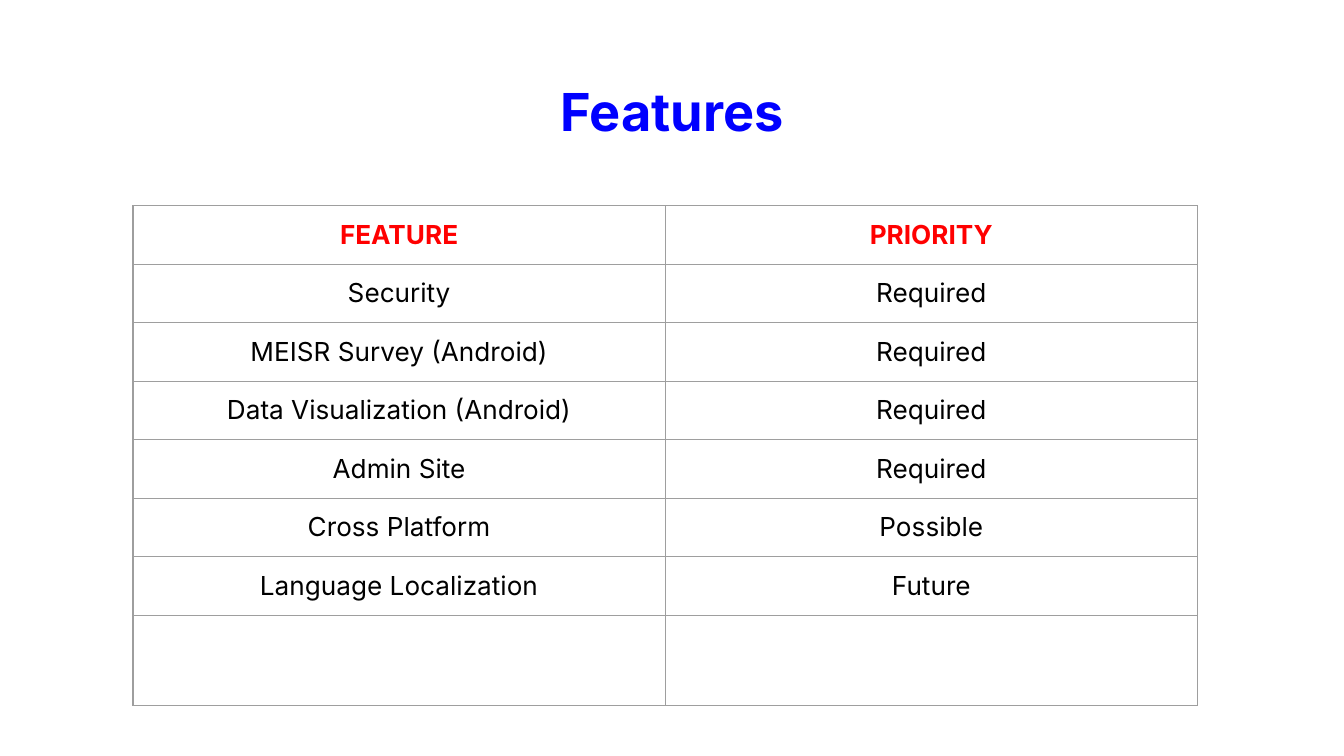
"""Builds a slide with a table of features and their priorities."""
from lxml.etree import SubElement
from pptx import Presentation
from pptx.dml.color import RGBColor
from pptx.enum.text import MSO_ANCHOR as Anchor, PP_ALIGN as Align
from pptx.oxml.ns import qn
from pptx.util import Inches, Pt

TITLE = "Features"
ROWS = [
    ("FEATURE", "PRIORITY"),
    ("Security", "Required"),
    ("MEISR Survey (Android)", "Required"),
    ("Data Visualization (Android)", "Required"),
    ("Admin Site", "Required"),
    ("Cross Platform", "Possible"),
    ("Language Localization", "Future"),
    ("", ""),
]
BLUE = RGBColor(0x00, 0x00, 0xFF)
RED = RGBColor(0xFF, 0x00, 0x00)
BLACK = RGBColor(0x00, 0x00, 0x00)
GREY = RGBColor(0x9E, 0x9E, 0x9E)
TITLE_FONT = dict(name="Inter", size=Pt(28), bold=True)
HEAD_FONT = dict(name="Inter", size=Pt(14), bold=True)
BODY_FONT = dict(name="Inter", size=Pt(14), bold=False)
MARGINS = {f"margin_{side}": Inches(0.1) for side in ("left", "top", "right", "bottom")}
COL_W, ROW_H, LAST_H = 3.96, 0.43, 0.67


def set_all(obj, values):
    for key, value in values.items():
        setattr(obj, key, value)


def style(p, font, color):
    p.alignment = Align.CENTER
    for target in [p, *p.runs]:
        set_all(target.font, font)
        target.font.color.rgb = color


def add_borders(cell):
    tc_pr = cell._tc.get_or_add_tcPr()
    for i, side in enumerate(("lnL", "lnR", "lnT", "lnB")):
        ln = tc_pr.makeelement(qn(f"a:{side}"), {"w": str(Pt(0.75))})
        fill = SubElement(ln, qn("a:solidFill"))
        SubElement(fill, qn("a:srgbClr"), val=str(GREY))
        tc_pr.insert(i, ln)


prs = Presentation()
prs.slide_width = Inches(10)
prs.slide_height = prs.slide_width * 9 // 16
s = prs.slides.add_slide(prs.slide_layouts[5])

title = s.shapes.title
set_all(title, dict(left=Inches(0.34), top=Inches(0.49), width=Inches(9.32), height=Inches(0.63)))
tf = title.text_frame
tf.text = TITLE
set_all(tf, dict(MARGINS, word_wrap=True, vertical_anchor=Anchor.TOP))
style(tf.paragraphs[0], TITLE_FONT, BLUE)

heights = [ROW_H] * (len(ROWS) - 1) + [LAST_H]
frame = s.shapes.add_table(len(ROWS), 2, Inches(0.99), Inches(1.53),
                           Inches(2 * COL_W), Inches(sum(heights)))
table = frame.table
set_all(table, dict(first_row=False, horz_banding=False))
for col in table.columns:
    col.width = Inches(COL_W)
for r, (texts, height) in enumerate(zip(ROWS, heights)):
    table.rows[r].height = Inches(height)
    font, color = (HEAD_FONT, RED) if r == 0 else (BODY_FONT, BLACK)
    for c, text in enumerate(texts):
        cell = table.cell(r, c)
        cell.text = text
        set_all(cell, dict(MARGINS, vertical_anchor=Anchor.TOP))
        style(cell.text_frame.paragraphs[0], font, color)
        cell.fill.background()
        add_borders(cell)

prs.save("out.pptx")
